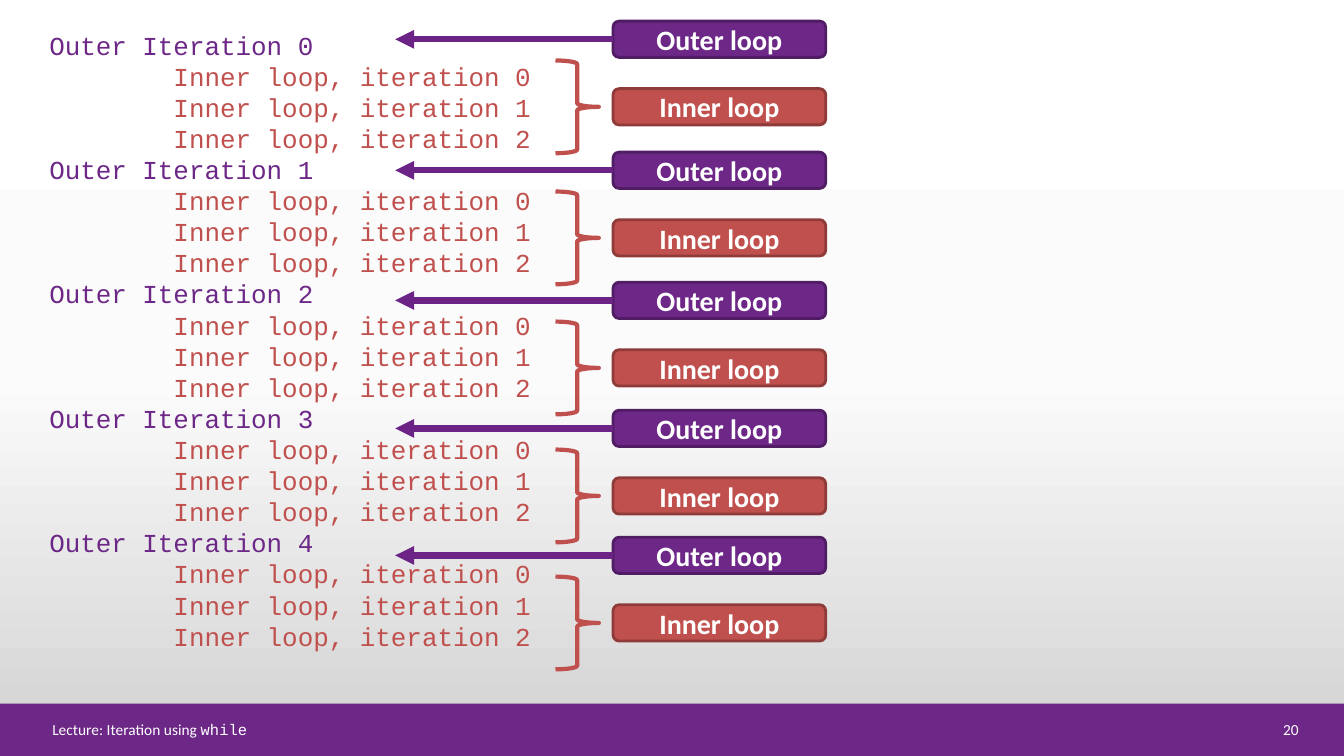
from copy import deepcopy

from lxml import etree
from pptx import Presentation
from pptx.dml.color import RGBColor
from pptx.enum.shapes import MSO_CONNECTOR as CONN, MSO_SHAPE as SHAPE
from pptx.enum.text import MSO_ANCHOR as ANCHOR, PP_ALIGN as ALIGN
from pptx.oxml.ns import qn
from pptx.util import Pt

PX = 9144
SLIDE_W, SLIDE_H = 1333, 750

PURPLE = RGBColor(0x6C, 0x27, 0x87)
PURPLE_EDGE = RGBColor(0x50, 0x1D, 0x64)
PURPLE_ARROW = RGBColor(0x6B, 0x24, 0x86)
RED = RGBColor(0xC0, 0x50, 0x4D)
RED_EDGE = RGBColor(0x8E, 0x3B, 0x39)
WHITE = RGBColor(0xFF, 0xFF, 0xFF)
PALE_GRAY = RGBColor(0xFB, 0xFB, 0xFB)
GRAY = RGBColor(0xD1, 0xD1, 0xD1)

SANS = "Calibri"
MONO = "Courier New"

CALLOUT_TOPS = [21, 151, 280, 407, 533]
INNER_COUNT = 3


def px(*lengths):
    return [length * PX for length in lengths]


def style(font, name, size, color, bold=False):
    font.name = name
    font.size = Pt(size)
    font.color.rgb = color
    font.bold = bold


def set_background(s):
    fill = s.background.fill
    fill.gradient()
    fill.gradient_angle = 270
    stops = s.element.find(".//" + qn("a:gsLst"))
    stops.insert(1, deepcopy(stops[0]))
    for stop, color, place in zip(fill.gradient_stops, (WHITE, PALE_GRAY, GRAY), (0, 0.5, 1)):
        stop.color.rgb = color
        stop.position = place


def add_output(s, x, y, w, h):
    tf = s.shapes.add_textbox(*px(x, y, w, h)).text_frame
    tf.word_wrap = True
    lines = []
    for outer in range(len(CALLOUT_TOPS)):
        lines.append((f"Outer Iteration {outer}", PURPLE))
        for inner in range(INNER_COUNT):
            lines.append((f"        Inner loop, iteration {inner}", RED))
    for i, (text, color) in enumerate(lines):
        p = tf.add_paragraph() if i else tf.paragraphs[0]
        p.text = text
        style(p.runs[0].font, MONO, 18.5, color)


def add_label(shapes, text, fill, edge, x, y, w, h):
    sp = shapes.add_shape(SHAPE.ROUNDED_RECTANGLE, *px(x, y, w, h))
    sp.shadow.inherit = False
    sp.fill.solid()
    sp.fill.fore_color.rgb = fill
    sp.line.color.rgb = edge
    sp.line.width = Pt(2)
    tf = sp.text_frame
    tf.vertical_anchor = ANCHOR.MIDDLE
    p = tf.paragraphs[0]
    p.text = text
    p.alignment = ALIGN.CENTER
    style(p.runs[0].font, SANS, 20, WHITE, bold=True)


def add_arrow(shapes, x1, x2, y):
    line = shapes.add_connector(CONN.STRAIGHT, *px(x1, y, x2, y))
    line.line.color.rgb = PURPLE_ARROW
    line.line.width = Pt(4.5)
    etree.SubElement(line.line._get_or_add_ln(), qn("a:tailEnd"), type="triangle")
    etree.SubElement(line._element.spPr, qn("a:effectLst"))


def add_brace(shapes, x, y, w, h):
    sp = shapes.add_shape(SHAPE.RIGHT_BRACE, *px(x, y, w, h))
    sp.shadow.inherit = False
    sp.fill.background()
    sp.line.color.rgb = RED
    sp.line.width = Pt(3)


def add_callouts(s, x, y):
    shapes = s.shapes.add_group_shape().shapes
    label_x = x + 216
    add_label(shapes, "Outer loop", PURPLE, PURPLE_EDGE, label_x, y, 211, 36)
    add_label(shapes, "Inner loop", RED, RED_EDGE, label_x, y + 67, 211, 36)
    add_arrow(shapes, label_x, x, y + 18)
    add_brace(shapes, x + 159, y + 39, 43, 92)


def add_footer_text(s, parts, align, x, y, w, h):
    tf = s.shapes.add_textbox(*px(x, y, w, h)).text_frame
    tf.word_wrap = True
    tf.vertical_anchor = ANCHOR.MIDDLE
    p = tf.paragraphs[0]
    p.alignment = align
    for text, font_name in parts:
        r = p.add_run()
        r.text = text
        style(r.font, font_name, 11, WHITE)


def add_footer(s, x, y, w, h):
    bar = s.shapes.add_shape(SHAPE.RECTANGLE, *px(x, y, w, h))
    bar.shadow.inherit = False
    bar.fill.solid()
    bar.fill.fore_color.rgb = PURPLE
    bar.line.fill.background()
    title = [("Lecture: Iteration using ", SANS), ("while", MONO)]
    add_footer_text(s, title, ALIGN.LEFT, x + 42, y + 14, 1165, 23)
    add_footer_text(s, [("20", SANS)], ALIGN.RIGHT, x + w - 110, y + 14, 75, 23)


def main():
    prs = Presentation()
    prs.slide_width, prs.slide_height = px(SLIDE_W, SLIDE_H)
    s = prs.slides.add_slide(prs.slide_layouts[6])
    set_background(s)
    add_output(s, 39, 24, 659, 657)
    for top in CALLOUT_TOPS:
        add_callouts(s, 392, top)
    add_footer(s, 0, 698, SLIDE_W, 52)
    prs.save("out.pptx")


if __name__ == "__main__":
    main()
